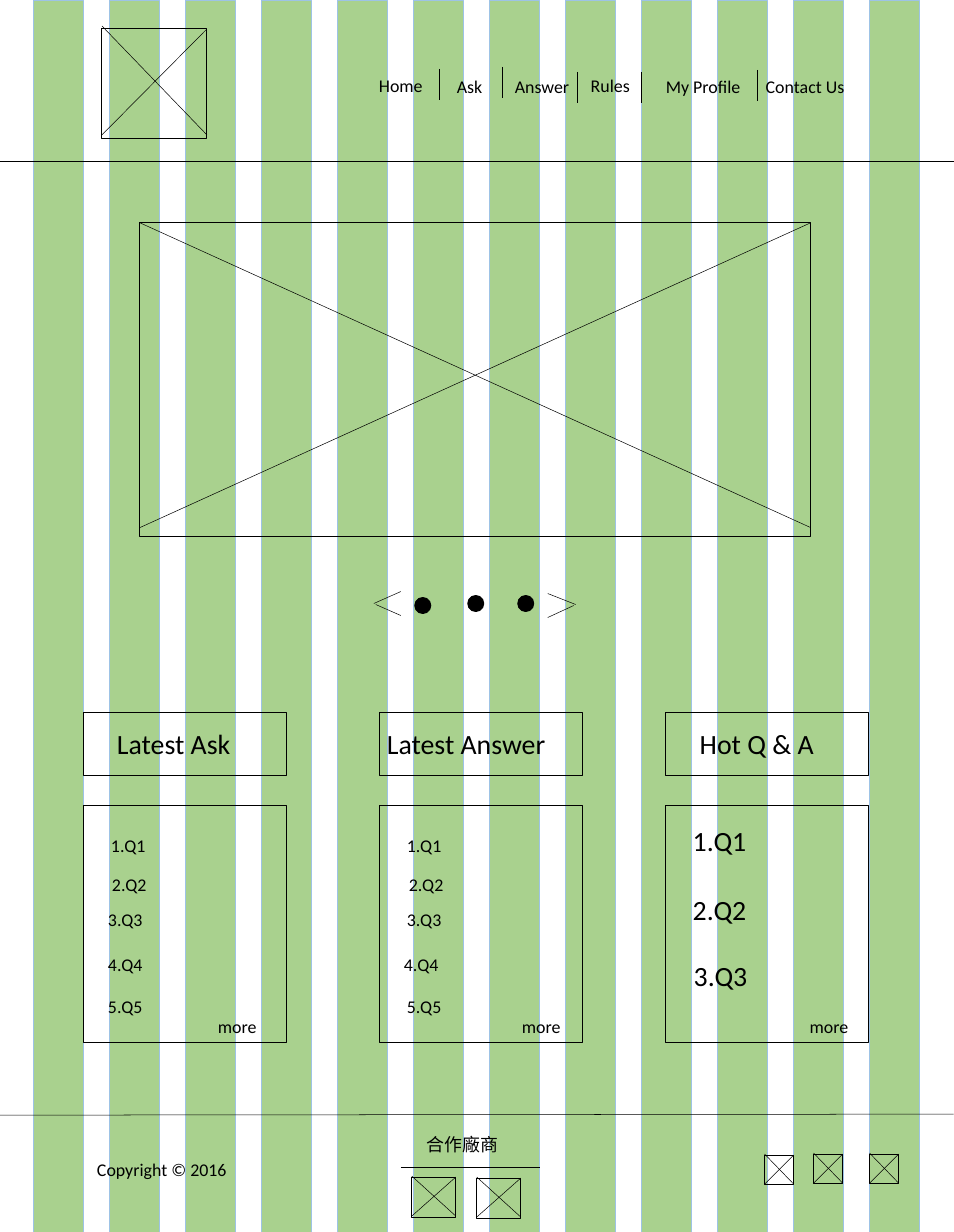
from pptx import Presentation
from pptx.dml.color import RGBColor
from pptx.enum.shapes import MSO_CONNECTOR as LineKind, MSO_SHAPE as Preset
from pptx.enum.text import MSO_AUTO_SIZE as AutoSize
from pptx.oxml.ns import qn
from pptx.util import Emu, Inches, Pt
from lxml.etree import SubElement

EMU_PER_PX = 12771
INK = "000000"
STRIPE_FILL = "A9D18E"
STRIPE_EDGE = "9DC3E6"


def px(length):
    return Emu(length * EMU_PER_PX)


def color(value):
    return RGBColor.from_string(value)


def apply(target, values):
    for key, value in values.items():
        setattr(target, key, value)


def add_block(shapes, left, top, width, height, fill=None, edge=INK, preset=Preset.RECTANGLE):
    block = shapes.add_shape(preset, px(left), px(top), px(width), px(height))
    block.shadow.inherit = False
    if fill:
        block.fill.solid()
        block.fill.fore_color.rgb = color(fill)
    else:
        block.fill.background()
    block.line.color.rgb = color(edge)
    block.line.width = Pt(1)


def add_rule(shapes, x1, y1, x2, y2):
    rule = shapes.add_connector(LineKind.STRAIGHT, px(x1), px(y1), px(x2), px(y2))
    rule.line.color.rgb = color(INK)
    rule.line.width = Pt(0.5)
    SubElement(rule._element.spPr, qn("a:effectLst"))


def add_label(shapes, text, left, top, width, size=18):
    large = size > 18
    label = shapes.add_textbox(px(left), px(top), px(width), px(41 if large else 29))
    apply(label.text_frame, {"word_wrap": large, "auto_size": AutoSize.SHAPE_TO_FIT_TEXT})
    run = label.text_frame.paragraphs[0].add_run()
    run.text = text
    apply(run.font, {"name": "Calibri", "size": Pt(size)})
    run.font.color.rgb = color(INK)


def add_image_box(shapes, left, top, width, height, rise, gap):
    box = shapes.add_group_shape().shapes
    right, foot = left + width, top + height - gap
    add_block(box, left, top, width, height)
    add_rule(box, left, top - rise, right, foot)
    add_rule(box, left, foot, right, top)


def add_arrow(shapes, strokes):
    arrow = shapes.add_group_shape().shapes
    for stroke in strokes:
        add_rule(arrow, *stroke)


def add_card(shapes, left, title, title_left, title_width, items, item_width, item_size, more_left):
    card = shapes.add_group_shape().shapes
    add_block(card, left, 713, 203, 63)
    add_block(card, left, 806, 203, 237)
    add_label(card, title, title_left, 724, title_width, 28)
    for number, (item_left, item_top) in enumerate(items, 1):
        add_label(card, f"{number}.Q{number}", item_left, item_top, item_width, item_size)
    add_label(card, "more", more_left, 1013, 54)


def add_stripes(shapes):
    stripes = shapes.add_group_shape().shapes
    for column in range(12):
        add_block(stripes, 34 + 76 * column, 1, 50, 1232, STRIPE_FILL, STRIPE_EDGE)


def add_header(shapes):
    add_rule(shapes, 0, 161, 954, 161)
    add_image_box(shapes, 102, 29, 105, 110, 3, 4)
    for page in [("Home", 372, 71, 59), ("Ask", 450, 72, 40), ("Answer", 508, 72, 69),
                 ("Rules", 584, 71, 54), ("My Profile", 659, 72, 90),
                 ("Contact Us", 759, 72, 94)]:
        add_label(shapes, *page)
    for x, top in [(439, 69), (503, 67), (578, 72), (642, 72), (758, 70)]:
        add_rule(shapes, x, top, x, top + 31)


def add_carousel(shapes):
    add_image_box(shapes, 140, 223, 671, 314, 0, 9)
    for left, top in [(415, 598), (468, 596), (518, 596)]:
        add_block(shapes, left, top, 16, 16, INK, preset=Preset.OVAL)
    add_arrow(shapes, [(401, 592, 374, 604), (401, 616, 376, 605)])
    add_arrow(shapes, [(548, 594, 576, 605), (548, 618, 574, 606)])


def add_cards(shapes):
    tops = [832, 871, 906, 951, 993]
    ask_items = list(zip([104, 105, 101, 101, 101], tops))
    answer_items = list(zip([400, 402, 400, 397, 400], tops))
    hot_items = [(686, 821), (686, 890), (687, 956)]
    add_card(shapes, 84, "Latest Ask", 110, 146, ask_items, 49, 18, 211)
    add_card(shapes, 380, "Latest Answer", 380, 197, answer_items, 49, 18, 515)
    add_card(shapes, 666, "Hot Q & A", 693, 146, hot_items, 146, 28, 803)


def add_footer(shapes):
    add_rule(shapes, 0, 1116, 954, 1115)
    add_label(shapes, "Copyright © 2016", 90, 1156, 145)
    add_label(shapes, "合作廠商", 420, 1131, 87)
    add_rule(shapes, 401, 1168, 540, 1168)
    for left, top in [(412, 1178), (477, 1179)]:
        add_image_box(shapes, left, top, 44, 40, 1, 1)
    for left, top in [(765, 1156), (814, 1155), (870, 1155)]:
        add_image_box(shapes, left, top, 29, 29, 1, 0)


def main():
    deck = Presentation()
    apply(deck, {"slide_width": Inches(13.33), "slide_height": Inches(17.22)})
    shapes = deck.slides.add_slide(deck.slide_layouts[6]).shapes
    for add_section in (add_stripes, add_header, add_carousel, add_cards, add_footer):
        add_section(shapes)
    deck.save("out.pptx")


main()
